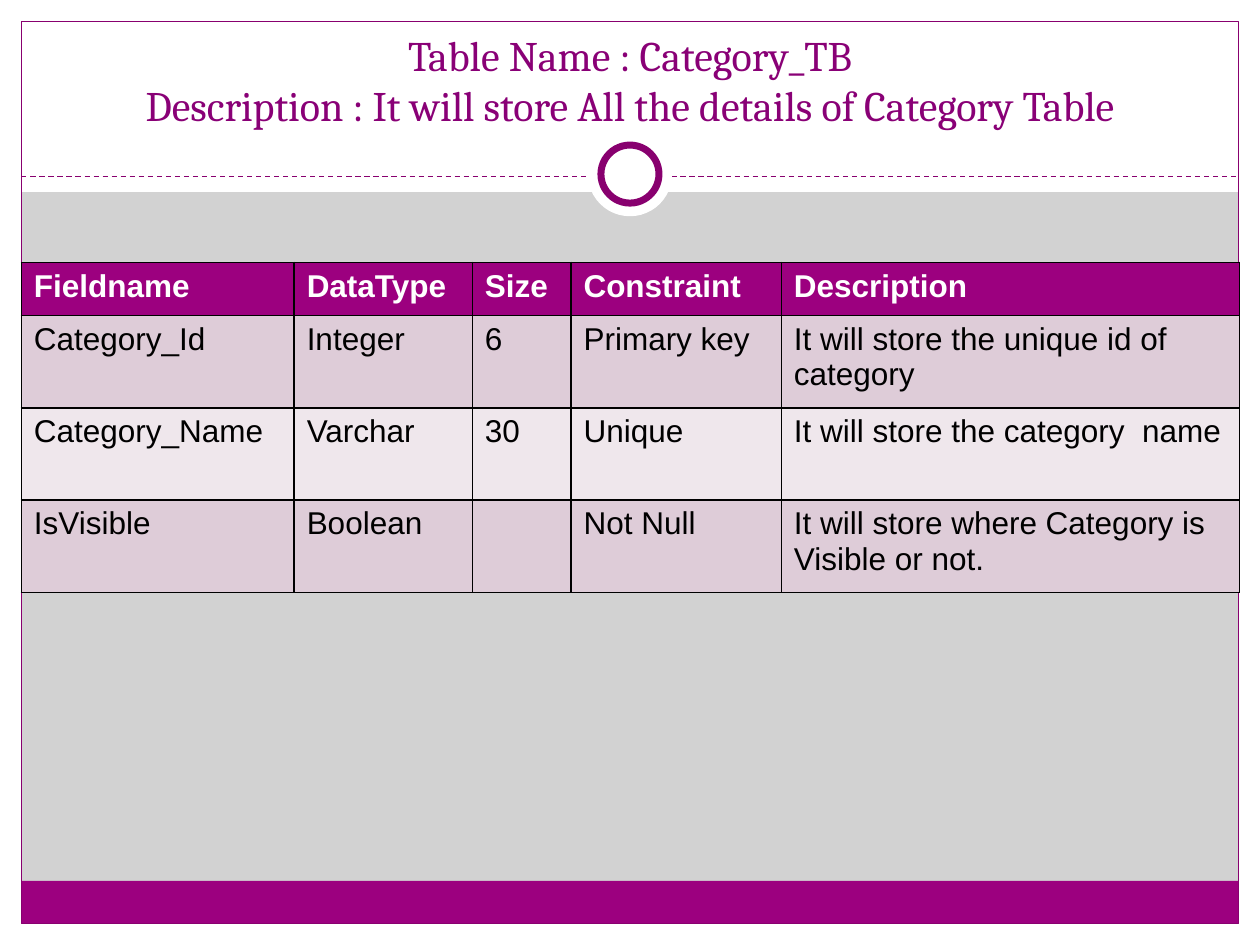
from dataclasses import dataclass
from typing import Optional

import lxml.etree
import pptx
import pptx.dml.color
import pptx.enum.dml
import pptx.enum.shapes
import pptx.enum.text
import pptx.oxml.ns
import pptx.util

Cm = pptx.util.Cm
Pt = pptx.util.Pt
RGBColor = pptx.dml.color.RGBColor
ShapeKind = pptx.enum.shapes.MSO_SHAPE
qn = pptx.oxml.ns.qn

WHITE = RGBColor(0xFF, 0xFF, 0xFF)
BLACK = RGBColor(0, 0, 0)
BACKDROP = RGBColor(0xD2, 0xD2, 0xD2)
MAGENTA = RGBColor(0x9C, 0x00, 0x7F)
OUTLINE = RGBColor(0x88, 0x00, 0x6F)
TITLE_COLOR = RGBColor(0x89, 0x00, 0x76)
BAND_DARK = RGBColor(0xDE, 0xCC, 0xD8)
BAND_LIGHT = RGBColor(0xEF, 0xE7, 0xEC)

# Page measures in centimetres
WIDTH, HEIGHT, MARGIN = 25.4, 19.05, 0.43
INNER_WIDTH = WIDTH - 2 * MARGIN
HEADER_HEIGHT, DIVIDER_TOP, FOOTER_HEIGHT = 3.87, 3.56, 0.86
RING_CENTER = 3.51


@dataclass
class Panel:
    left: float
    top: float
    width: float
    height: float
    fill: Optional[RGBColor] = WHITE
    line_width: float = 0
    kind: ShapeKind = ShapeKind.RECTANGLE


def disc(diameter: float, line_width: float = 0) -> Panel:
    return Panel((WIDTH - diameter) / 2, RING_CENTER - diameter / 2, diameter, diameter,
                 line_width=line_width, kind=ShapeKind.OVAL)


def draw_panel(slide, panel: Panel) -> None:
    shape = slide.shapes.add_shape(panel.kind, Cm(panel.left), Cm(panel.top),
                                   Cm(panel.width), Cm(panel.height))
    shape.shadow.inherit = False
    if panel.fill is None:
        shape.fill.background()
    else:
        shape.fill.solid()
        shape.fill.fore_color.rgb = panel.fill
    if panel.line_width:
        shape.line.color.rgb = OUTLINE
        shape.line.width = Pt(panel.line_width)
    else:
        shape.line.fill.background()


def draw_divider(slide) -> None:
    divider = slide.shapes.add_connector(
        pptx.enum.shapes.MSO_CONNECTOR.STRAIGHT,
        Cm(MARGIN), Cm(DIVIDER_TOP), Cm(WIDTH - MARGIN), Cm(DIVIDER_TOP))
    divider.line.color.rgb = OUTLINE
    divider.line.width = Pt(0.75)
    divider.line.dash_style = pptx.enum.dml.MSO_LINE.DASH
    lxml.etree.SubElement(divider._element.spPr, qn("a:effectLst"))


def set_font(paragraph, name: str, size: float, color: RGBColor, bold: bool = False) -> None:
    for run in paragraph.runs:
        run.font.name = name
        run.font.size = Pt(size)
        run.font.color.rgb = color
        run.font.bold = bold


def add_borders(cell) -> None:
    properties = cell._tc.get_or_add_tcPr()
    for position, side in enumerate(("a:lnL", "a:lnR", "a:lnT", "a:lnB")):
        border = lxml.etree.Element(qn(side), w=str(Pt(1)))
        fill = lxml.etree.SubElement(border, qn("a:solidFill"))
        lxml.etree.SubElement(fill, qn("a:srgbClr"), val=str(BLACK))
        properties.insert(position, border)


def draw_fields(slide, rows: list[tuple[str, ...]], widths: list[float],
                heights: list[float]) -> None:
    fields = slide.shapes.add_table(len(rows), len(widths), Cm(MARGIN), Cm(5.29),
                                    Cm(sum(widths)), Cm(sum(heights))).table
    for column, width in zip(fields.columns, widths):
        column.width = Cm(width)
    for row_index, (row, height) in enumerate(zip(rows, heights)):
        fields.rows[row_index].height = Cm(height)
        is_header = row_index == 0
        band = MAGENTA if is_header else BAND_DARK if row_index % 2 else BAND_LIGHT
        for column_index, content in enumerate(row):
            cell = fields.cell(row_index, column_index)
            cell.text_frame.text = content
            set_font(cell.text_frame.paragraphs[0], "Arial", 18,
                     WHITE if is_header else BLACK, is_header)
            cell.fill.solid()
            cell.fill.fore_color.rgb = band
            add_borders(cell)


def draw_title(slide, content: str) -> None:
    title = slide.shapes.title
    title.left, title.top, title.width, title.height = Cm(0.85), Cm(0.64), Cm(23.7), Cm(2.11)
    frame = title.text_frame
    frame.text = content
    frame.word_wrap = True
    frame.auto_size = pptx.enum.text.MSO_AUTO_SIZE.NONE
    frame.vertical_anchor = pptx.enum.text.MSO_ANCHOR.BOTTOM
    frame.paragraphs[0].alignment = pptx.enum.text.PP_ALIGN.CENTER
    set_font(frame.paragraphs[0], "Cambria", 24, TITLE_COLOR)
    # Bring the title in front of the header panel
    slide.shapes._spTree.append(title._element)


FRAME_PANELS = [
    Panel(0, HEIGHT - MARGIN, WIDTH, MARGIN),
    Panel(0, 0, WIDTH, HEADER_HEIGHT),
    Panel(0, 0, MARGIN, HEIGHT),
    Panel(WIDTH - MARGIN, 0, MARGIN, HEIGHT),
    Panel(MARGIN, HEIGHT - MARGIN - FOOTER_HEIGHT, INNER_WIDTH, FOOTER_HEIGHT, MAGENTA),
    Panel(MARGIN, MARGIN, INNER_WIDTH, HEIGHT - 2 * MARGIN, None, 0.75),
]
RING = [disc(1.7), disc(1.17, line_width=4)]

FIELD_ROWS = [
    ("Fieldname", "DataType", "Size", "Constraint", "Description"),
    ("Category_Id", "Integer", "6", "Primary key", "It will store the unique id of category"),
    ("Category_Name", "Varchar", "30", "Unique", "It will store the category  name"),
    ("IsVisible", "Boolean", "", "Not Null", "It will store where Category is Visible or not."),
]


def main() -> None:
    presentation = pptx.Presentation()
    presentation.slide_width, presentation.slide_height = Cm(WIDTH), Cm(HEIGHT)
    slide = presentation.slides.add_slide(presentation.slide_layouts[5])
    slide.background.fill.solid()
    slide.background.fill.fore_color.rgb = BACKDROP

    # Frame, divider and ring
    for panel in FRAME_PANELS:
        draw_panel(slide, panel)
    draw_divider(slide)
    for panel in RING:
        draw_panel(slide, panel)

    # Title and field table
    draw_title(slide, "Table Name : Category_TB\v"
                      "Description : It will store All the details of Category Table")
    draw_fields(slide, FIELD_ROWS, widths=[5.5, 3.59, 1.99, 4.24, 9.24],
                heights=[1.07, 1.86, 1.86, 1.86])
    presentation.save("out.pptx")


if __name__ == "__main__":
    main()
